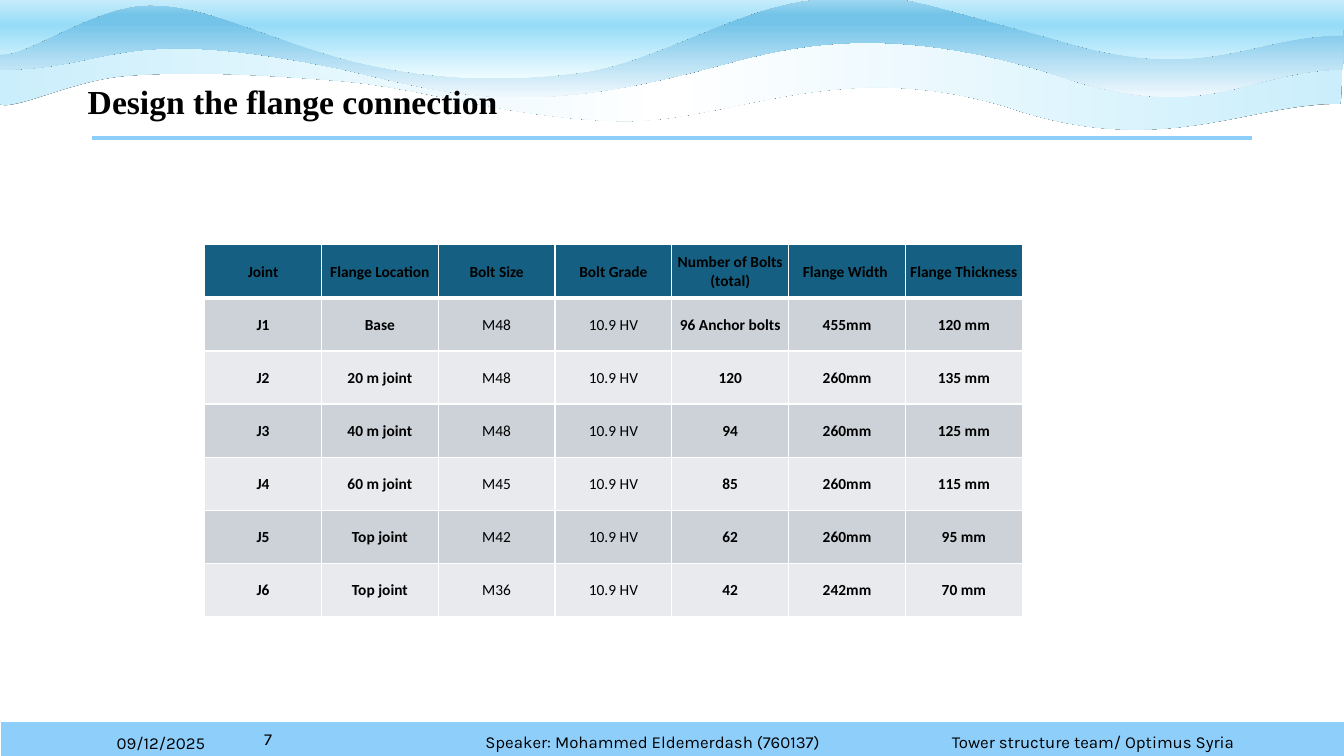
from dataclasses import dataclass

from lxml import etree
from pptx import Presentation
from pptx.dml.color import RGBColor
from pptx.enum.shapes import MSO_CONNECTOR, MSO_SHAPE
from pptx.enum.text import MSO_ANCHOR, PP_ALIGN
from pptx.oxml.ns import qn
from pptx.slide import Slide
from pptx.table import _Cell
from pptx.text.text import _Paragraph
from pptx.util import Pt

STRAIGHT, RECTANGLE = MSO_CONNECTOR.STRAIGHT, MSO_SHAPE.RECTANGLE
TOP, MIDDLE = MSO_ANCHOR.TOP, MSO_ANCHOR.MIDDLE
LEFT, CENTER, RIGHT = PP_ALIGN.LEFT, PP_ALIGN.CENTER, PP_ALIGN.RIGHT

BLACK = RGBColor(0x00, 0x00, 0x00)
WHITE = RGBColor(0xFF, 0xFF, 0xFF)
SKY = RGBColor(0x8E, 0xCE, 0xFA)
ICE = RGBColor(0xCA, 0xEE, 0xFB)
POWDER = RGBColor(0xA2, 0xD8, 0xF0)
OCEAN = RGBColor(0x74, 0xC4, 0xE9)
MIST = RGBColor(0xF0, 0xF8, 0xFD)
AQUA = RGBColor(0x96, 0xDC, 0xF8)
FROST = RGBColor(0xEF, 0xFC, 0xFF)
HEADER_TEAL = RGBColor(0x15, 0x60, 0x82)
BANDS = (RGBColor(0xE8, 0xEA, 0xED), RGBColor(0xCC, 0xD2, 0xD8))

Point = tuple[float, float]
DOWNWARD = 270


@dataclass(frozen=True)
class Wave:
    left: float
    top: float
    width: float
    height: float
    start: Point
    segments: tuple[tuple[float, ...], ...]
    stops: tuple[tuple[int, RGBColor], ...]
    angle: float
    first_drop: float = 0


@dataclass(frozen=True)
class Label:
    text: str
    left: float
    top: float
    width: float
    height: float
    align: PP_ALIGN = CENTER
    anchor: MSO_ANCHOR = MIDDLE
    font: str = "Karla"
    size: float = 12
    bold: bool = False
    wrap: bool = True


WAVES = (
    Wave(-2.9, 21.6, 961.9, 70.6, (957.6, 74.2), (
        (890.6, 73.4, 829.4, 114.5, 719.3, 76.3),
        (595.4, 38.9, 519.1, 89.3, 439.2, 86.4),
        (359.3, 83.5, 303.1, 62.6, 241.2, 57.6),
        (179.3, 52.6, 131.8, 51.1, 91.4, 54),
        (51.1, 56.9, 10.1, 79.9, -1.4, 74.2),
        (-1.4, 57.6, -2.9, 38.2, -2.9, 21.6),
        (225.4, 22.3), (469.4, 24.5), (677.5, 23), (959, 24.5),
        (959, 39.6, 959, 57.6, 957.6, 74.2),
    ), ((0, ICE), (50, WHITE), (100, ICE)), 0),
    Wave(0, -1.4, 959.8, 70.6, (959, 49.7), (
        (892.1, 49.7, 861.1, 91.4, 751.7, 52.6),
        (627.1, 13.7, 556.6, 35.3, 508.3, 48.2),
        (380.2, 82.1, 330.5, 69.8, 249.1, 50.4),
        (81.4, 15.1, 82.8, 49.7, 0, 49.7),
        (0, 33.1, 0.7, 16.6, 0.7, -0.7),
        (225.4, 0), (470.9, -1.4), (681.1, -0.7), (959.8, 2.2),
        (959.8, 18, 960.5, 33.1, 959, 49.7),
    ), ((0, POWDER), (17, OCEAN), (26, OCEAN), (100, MIST)), DOWNWARD),
    Wave(-2.2, -20.2, 961.9, 76.3, (959, 25.2), (
        (892.1, 25.2, 861.1, 61.9, 751.7, 27.4),
        (627.8, -6.5, 641.5, -5, 585.4, -0.7),
        (529.2, 2.9, 470.2, 44.6, 414.7, 51.8),
        (358.6, 59, 305.3, 56.9, 249.8, 43.2),
        (185.8, 25.9, 149, 3.6, 108, 3.6),
        (66.2, 2.9, 15.8, 43.9, -2.2, 38.2),
        (-1.4, 23, 0.7, -4.3, 0.7, -19.4),
        (225.4, -18.7), (470.9, -20.2), (681.1, -19.4), (959.8, -17.3),
        (959.8, -2.9, 960.5, 10.1, 959, 25.2),
    ), ((0, WHITE), (50, AQUA), (100, FROST)), DOWNWARD, 1.4),
)

LABELS = (
    Label("Design the flange connection", 55.6, 54.4, 310.3, 65.5, LEFT, TOP,
          "Times New Roman", 24, True, False),
    Label(" 7", 153.4, 517, 73.4, 28.8, anchor=TOP),
    Label("Tower structure team/ Optimus Syria", 667.4, 515.5, 226.8, 28.8),
    Label("09/12/2025", 65.8, 516.2, 87.8, 28.8, RIGHT),
    Label("Speaker: Mohammed Eldemerdash (760137)", 226.5, 519.1, 479.5, 21.6, anchor=TOP),
)

FLANGES = (
    ("Joint", "Flange Location", "Bolt Size", "Bolt Grade",
     "Number of Bolts (total)", "Flange Width ", "Flange Thickness"),
    ("J1", "Base", "M48", "10.9 HV", "96 Anchor bolts", "455mm", "120 mm"),
    ("J2", "20 m joint", "M48", "10.9 HV", "120", "260mm", "135 mm"),
    ("J3", "40 m joint", "M48", "10.9 HV", "94", "260mm", "125 mm"),
    ("J4", "60 m joint", "M45", "10.9 HV", "85", "260mm", "115 mm"),
    ("J5", "Top joint", "M42", "10.9 HV", "62", "260mm", "95 mm"),
    ("J6", "Top joint", "M36", "10.9 HV", "42", "242mm", "70 mm"),
)
REGULAR_COLUMNS = (2, 3)
COLUMN_WIDTH, ROW_HEIGHT = 83.45, 37.95


def add_run(paragraph: _Paragraph, text: str, font: str, size: float, bold: bool) -> None:
    run = paragraph.add_run()
    run.text = text
    run.font.name = font
    run.font.size = Pt(size)
    run.font.bold = bold
    run.font.color.rgb = BLACK


def draw_curves(outline: etree._Element, wave: Wave) -> None:
    outline.clear()
    outline.set("w", str(Pt(wave.width)))
    outline.set("h", str(Pt(wave.height)))
    steps = [("moveTo", wave.start)]
    steps += [("lnTo" if len(s) == 2 else "cubicBezTo", s) for s in wave.segments]
    for tag, numbers in steps:
        step = etree.SubElement(outline, qn(f"a:{tag}"))
        for x, y in zip(numbers[::2], numbers[1::2]):
            etree.SubElement(step, qn("a:pt"), x=str(Pt(x - wave.left)), y=str(Pt(y - wave.top)))
    etree.SubElement(outline, qn("a:close"))


def add_wave(slide: Slide, wave: Wave, drop: float) -> None:
    builder = slide.shapes.build_freeform(*wave.start, scale=Pt(1))
    builder.add_line_segments([segment[-2:] for segment in wave.segments], close=True)
    shape = builder.convert_to_shape()
    shape.left, shape.top = Pt(wave.left), Pt(wave.top + drop)
    shape.width, shape.height = Pt(wave.width), Pt(wave.height)
    properties = shape._element.spPr
    draw_curves(properties.find(".//" + qn("a:path")), wave)
    shape.line.fill.background()
    shape.fill.gradient()
    shape.fill.gradient_angle = wave.angle
    stop_list = properties.find(".//" + qn("a:gsLst"))
    stop_list.clear()
    for position, color in wave.stops:
        stop = etree.SubElement(stop_list, qn("a:gs"), pos=str(position * 1000))
        etree.SubElement(stop, qn("a:srgbClr"), val=str(color))
    shape.shadow.inherit = False
    shadow = etree.SubElement(properties.find(qn("a:effectLst")), qn("a:outerShdw"))
    etree.SubElement(shadow, qn("a:srgbClr"), val=str(BLACK))


def add_label(slide: Slide, label: Label) -> None:
    box = slide.shapes.add_textbox(Pt(label.left), Pt(label.top), Pt(label.width), Pt(label.height))
    frame = box.text_frame
    frame.word_wrap = label.wrap
    frame.vertical_anchor = label.anchor
    paragraph = frame.paragraphs[0]
    paragraph.alignment = label.align
    add_run(paragraph, label.text, label.font, label.size, label.bold)


def add_border(cell: _Cell, side: str, width: float) -> None:
    border = etree.SubElement(cell._tc.get_or_add_tcPr(), qn(f"a:ln{side}"), w=str(Pt(width)))
    fill = etree.SubElement(border, qn("a:solidFill"))
    etree.SubElement(fill, qn("a:srgbClr"), val=str(WHITE))


def add_flange_table(slide: Slide) -> None:
    rows, columns = len(FLANGES), len(FLANGES[0])
    table = slide.shapes.add_table(rows, columns, Pt(146.2), Pt(174.8), Pt(COLUMN_WIDTH * columns),
                                   Pt(ROW_HEIGHT * rows)).table
    for column in table.columns:
        column.width = Pt(COLUMN_WIDTH)
    for r, values in enumerate(FLANGES):
        table.rows[r].height = Pt(ROW_HEIGHT)
        for c, value in enumerate(values):
            cell = table.cell(r, c)
            cell.margin_left = cell.margin_right = cell.margin_top = Pt(0.7)
            cell.margin_bottom = Pt(0)
            cell.vertical_anchor = MIDDLE
            for side, width in (("L", 1), ("R", 1), ("T", 3 if r == 1 else 1), ("B", 3 if r == 0 else 1)):
                add_border(cell, side, width)
            cell.fill.solid()
            cell.fill.fore_color.rgb = BANDS[r % 2] if r else HEADER_TEAL
            paragraph = cell.text_frame.paragraphs[0]
            paragraph.alignment = CENTER
            add_run(paragraph, value, "Calibri", 11, r == 0 or c not in REGULAR_COLUMNS)


def add_footer_bar(slide: Slide) -> None:
    bar = slide.shapes.add_shape(RECTANGLE, Pt(0), Pt(514.8), Pt(961.2), Pt(28.8))
    bar.shadow.inherit = False
    bar.fill.solid()
    bar.fill.fore_color.rgb = SKY
    bar.line.color.rgb = WHITE
    bar.line.width = Pt(1.5)


def add_title_rule(slide: Slide) -> None:
    rule = slide.shapes.add_connector(STRAIGHT, Pt(65.9), Pt(98.6), Pt(894.2), Pt(98.6))
    rule.line.color.rgb = SKY
    rule.line.width = Pt(3)
    etree.SubElement(rule._element.spPr, qn("a:effectLst"))


def main() -> None:
    deck = Presentation()
    deck.slide_width, deck.slide_height = Pt(960), Pt(540)
    slide = deck.slides.add_slide(deck.slide_layouts[6])
    add_footer_bar(slide)
    for layer in range(2):
        for wave in WAVES:
            add_wave(slide, wave, 0 if layer else wave.first_drop)
    add_title_rule(slide)
    add_flange_table(slide)
    for label in LABELS:
        add_label(slide, label)
    deck.save("out.pptx")


if __name__ == "__main__":
    main()
